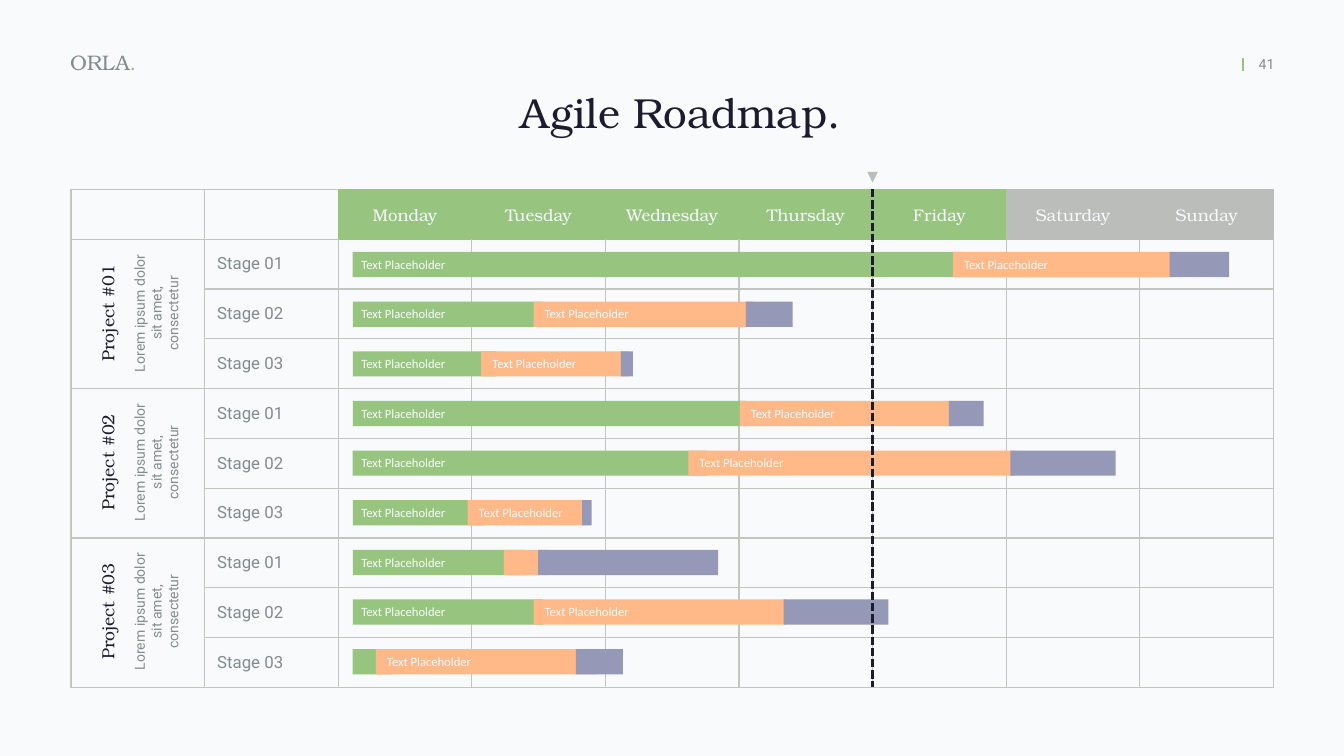
from dataclasses import dataclass
from typing import NamedTuple

from lxml import etree
from pptx import Presentation
from pptx import util as u
from pptx.dml.color import RGBColor
from pptx.enum import dml, shapes, text
from pptx.oxml import ns


@dataclass(frozen=True)
class Theme:
    paper: str = "F9FAFB"
    ink: str = "1B1C2E"
    grey: str = "838C8C"
    light: str = "F8FBFC"
    grid: str = "C3C5BE"
    weekend: str = "BABDBA"
    green: str = "97C57F"
    orange: str = "FFB887"
    violet: str = "9598B7"
    serif: str = "TeX Gyre Bonum"
    sans: str = "Roboto"
    label: str = "Calibri"
    title_size: int = 60
    brand_size: int = 30
    project_size: int = 25
    table_size: int = 24
    note_size: int = 20
    label_size: int = 18


class Style(NamedTuple):
    font: str
    size: int
    color: str


class Area(NamedTuple):
    left: float
    top: float
    width: float
    height: float

    def inches(self) -> list:
        return [u.Inches(value) for value in self]


class Bar(NamedTuple):
    left: float
    width: float
    label_inset: float | None = None


class Stage(NamedTuple):
    done: Bar
    active: Bar
    planned: Bar


THEME = Theme()
LABEL = Style(THEME.label, THEME.label_size, THEME.light)
PROJECT = Style(THEME.serif, THEME.project_size, THEME.ink)
NOTE = Style(THEME.sans, THEME.note_size, THEME.grey)
HEADING = Style(THEME.serif, THEME.table_size, THEME.light)
STAGE = Style(THEME.sans, THEME.table_size, THEME.grey)

DAYS = ["Monday", "Tuesday", "Wednesday", "Thursday", "Friday", "Saturday", "Sunday"]
HEADER_FILLS = [THEME.green] * 5 + [THEME.weekend] * 2
LABEL_COLUMNS = 2
PROJECTS, STAGES = 3, 3
TABLE = Area(1.41, 3.76, 23.86, 9.88)
BAR_TOP, LAST_BAR_TOP, BAR_HEIGHT = 5.0, 12.88, 0.5
PROJECT_PITCH = 2.96
START, FIRST, SECOND = 7.0, 0.11, 0.16
TODAY = 17.31

SCHEDULE = [
    Stage(Bar(START, 12.07, FIRST), Bar(18.91, 4.36, SECOND), Bar(23.21, 1.18)),
    Stage(Bar(START, 3.78, FIRST), Bar(10.59, 4.36, SECOND), Bar(14.8, 0.93)),
    Stage(Bar(START, 2.85, FIRST), Bar(9.55, 2.93, SECOND), Bar(12.32, 0.24)),
    Stage(Bar(START, 7.81, FIRST), Bar(14.68, 4.36, SECOND), Bar(18.83, 0.69)),
    Stage(Bar(START, 7.04, FIRST), Bar(13.66, 6.49, SECOND), Bar(20.05, 2.09)),
    Stage(Bar(START, 2.61, FIRST), Bar(9.28, 2.38, SECOND), Bar(11.55, 0.19)),
    Stage(Bar(START, 3.42, FIRST), Bar(10, 0.86), Bar(10.68, 3.57)),
    Stage(Bar(START, 3.78, FIRST), Bar(10.59, 5.01, SECOND), Bar(15.55, 2.08)),
    Stage(Bar(START, 0.77), Bar(7.46, 4.36, SECOND), Bar(11.43, 0.93)),
]


def style_span(span, style: Style) -> None:
    span.font.name, span.font.size = style.font, u.Pt(style.size)
    span.font.color.rgb = RGBColor.from_string(style.color)


def set_text(frame, wording: str, style: Style, align=text.PP_ALIGN.LEFT) -> None:
    frame.text = wording
    para = frame.paragraphs[0]
    para.alignment = align
    style_span(para.runs[0], style)


def set_margins(holder, size: float) -> None:
    holder.margin_left = holder.margin_right = u.Inches(size)
    holder.margin_top = holder.margin_bottom = u.Inches(size)


def add_text(parent, area: Area, wording: str, style: Style, align=text.PP_ALIGN.LEFT,
             anchor=text.MSO_ANCHOR.MIDDLE, rotation: int = 0):
    box = parent.add_textbox(*area.inches())
    box.rotation = rotation
    frame = box.text_frame
    frame.word_wrap, frame.vertical_anchor = True, anchor
    set_margins(frame, 0.06)
    set_text(frame, wording, style, align)
    return box


def add_block(parent, kind, area: Area, color: str):
    block = parent.add_shape(kind, *area.inches())
    block.shadow.inherit = False
    block.fill.solid()
    block.fill.fore_color.rgb = RGBColor.from_string(color)
    block.line.fill.background()
    return block


def add_line(page, x: float, top: float, bottom: float, color: str, width: float):
    line = page.shapes.add_connector(
        shapes.MSO_CONNECTOR.STRAIGHT, *Area(x, top, x, bottom).inches())
    line.line.color.rgb = RGBColor.from_string(color)
    line.line.width = u.Pt(width)
    etree.SubElement(line._element.spPr, ns.qn("a:effectLst"))
    return line


def set_borders(cell, row: int, column: int) -> None:
    """Grid lines everywhere, except thin lines in the day colour around the header."""
    edges = {side: (THEME.grid, 2) for side in "LRTB"}
    day = column - LABEL_COLUMNS
    if row == 0 and day >= 0:
        edges = {side: (HEADER_FILLS[day], 1) for side in "LRTB"}
    if row == 0 and -1 <= day < len(DAYS) - 1:
        edges["R"] = (HEADER_FILLS[day + 1], 1)
    if row == 1 and day >= 0:
        edges["T"] = (HEADER_FILLS[day], 1)
    properties = cell._tc.get_or_add_tcPr()
    for side, (color, width) in edges.items():
        line = etree.SubElement(properties, ns.qn(f"a:ln{side}"), w=str(u.Pt(width)))
        fill = etree.SubElement(line, ns.qn("a:solidFill"))
        etree.SubElement(fill, ns.qn("a:srgbClr"), val=color)


def add_calendar(page) -> None:
    rows, columns = 1 + PROJECTS * STAGES, LABEL_COLUMNS + len(DAYS)
    table = page.shapes.add_table(rows, columns, *TABLE.inches()).table
    table.first_row = table.horz_banding = False
    for row in range(rows):
        table.rows[row].height = u.Inches(TABLE.height / rows)
        for column in range(columns):
            table.columns[column].width = u.Inches(TABLE.width / columns)
            cell = table.cell(row, column)
            set_borders(cell, row, column)
            cell.fill.background()
            cell.vertical_anchor = text.MSO_ANCHOR.MIDDLE
            set_margins(cell, 0)
            day = column - LABEL_COLUMNS
            if row == 0 and day >= 0:
                cell.fill.solid()
                cell.fill.fore_color.rgb = RGBColor.from_string(HEADER_FILLS[day])
                set_text(cell.text_frame, DAYS[day], HEADING, text.PP_ALIGN.CENTER)
            elif row > 0 and column == 1:
                set_text(cell.text_frame, f"Stage {(row - 1) % STAGES + 1:02}", STAGE)
                indent = cell.text_frame.paragraphs[0]._p.get_or_add_pPr()
                indent.set("marL", "0")
                indent.set("indent", str(u.Inches(0.25)))
    for first in range(1, rows, STAGES):
        table.cell(first, 0).merge(table.cell(first + STAGES - 1, 0))


def add_stage(page, stage: Stage, top: float) -> None:
    group = page.shapes.add_group_shape().shapes
    for bar, color in zip(stage, (THEME.green, THEME.orange, THEME.violet)):
        add_block(group, shapes.MSO_SHAPE.RECTANGLE,
                  Area(bar.left, top, bar.width, BAR_HEIGHT), color)
    for bar in stage:
        if bar.label_inset is not None:
            add_text(group, Area(bar.left + bar.label_inset, top + 0.03, 2.46, 0.42),
                     "Text Placeholder", LABEL)


def add_project(page, index: int) -> None:
    shift = index * PROJECT_PITCH
    add_text(page.shapes, Area(0.66, 5.95 + shift, 2.94, 0.53), f"Project #{index + 1:02}",
             PROJECT, text.PP_ALIGN.CENTER, rotation=270)
    add_text(page.shapes, Area(1.79, 5.66 + shift, 2.6, 1.11),
             "Lorem ipsum dolor sit amet, consectetur", NOTE, text.PP_ALIGN.CENTER,
             text.MSO_ANCHOR.TOP, 270)


def add_header(page) -> None:
    brand = add_text(page.shapes, Area(1.33, 0.9, 1.84, 0.65), "ORLA",
                     Style(THEME.serif, THEME.brand_size, THEME.grey))
    dot = brand.text_frame.paragraphs[0].add_run()
    dot.text = "."
    style_span(dot, Style(THEME.serif, THEME.brand_size, THEME.green))
    add_line(page, 24.67, 1.15, 1.4, THEME.green, 3)
    add_text(page.shapes, Area(24.5, 1.05, 1.27, 0.44), "41", NOTE, text.PP_ALIGN.CENTER)
    title = page.shapes.title
    title.left, title.top, title.width, title.height = Area(8.17, 1.66, 10.68, 1.12).inches()
    title.text_frame.vertical_anchor = text.MSO_ANCHOR.TOP
    title.text_frame.auto_size = text.MSO_AUTO_SIZE.NONE
    set_margins(title.text_frame, 0.06)
    set_text(title.text_frame, "Agile Roadmap.",
             Style(THEME.serif, THEME.title_size, THEME.ink), text.PP_ALIGN.CENTER)


def main() -> None:
    deck = Presentation()
    deck.slide_width, deck.slide_height = u.Inches(26.67), u.Inches(15)
    page = deck.slides.add_slide(deck.slide_layouts.get_by_name("Title Only"))
    page.background.fill.solid()
    page.background.fill.fore_color.rgb = RGBColor.from_string(THEME.paper)
    add_header(page)
    add_calendar(page)
    for index in range(PROJECTS):
        add_project(page, index)
    pitch = (LAST_BAR_TOP - BAR_TOP) / (len(SCHEDULE) - 1)
    for index, stage in enumerate(SCHEDULE):
        add_stage(page, stage, BAR_TOP + index * pitch)
    marker = add_block(page.shapes, shapes.MSO_SHAPE.ISOSCELES_TRIANGLE,
                       Area(TODAY - 0.1, 3.41, 0.21, 0.21), THEME.weekend)
    marker.rotation = 180
    today = add_line(page, TODAY, 3.75, 13.64, THEME.ink, 4)
    today.line.dash_style = dml.MSO_LINE.SQUARE_DOT
    deck.save("out.pptx")


if __name__ == "__main__":
    main()
